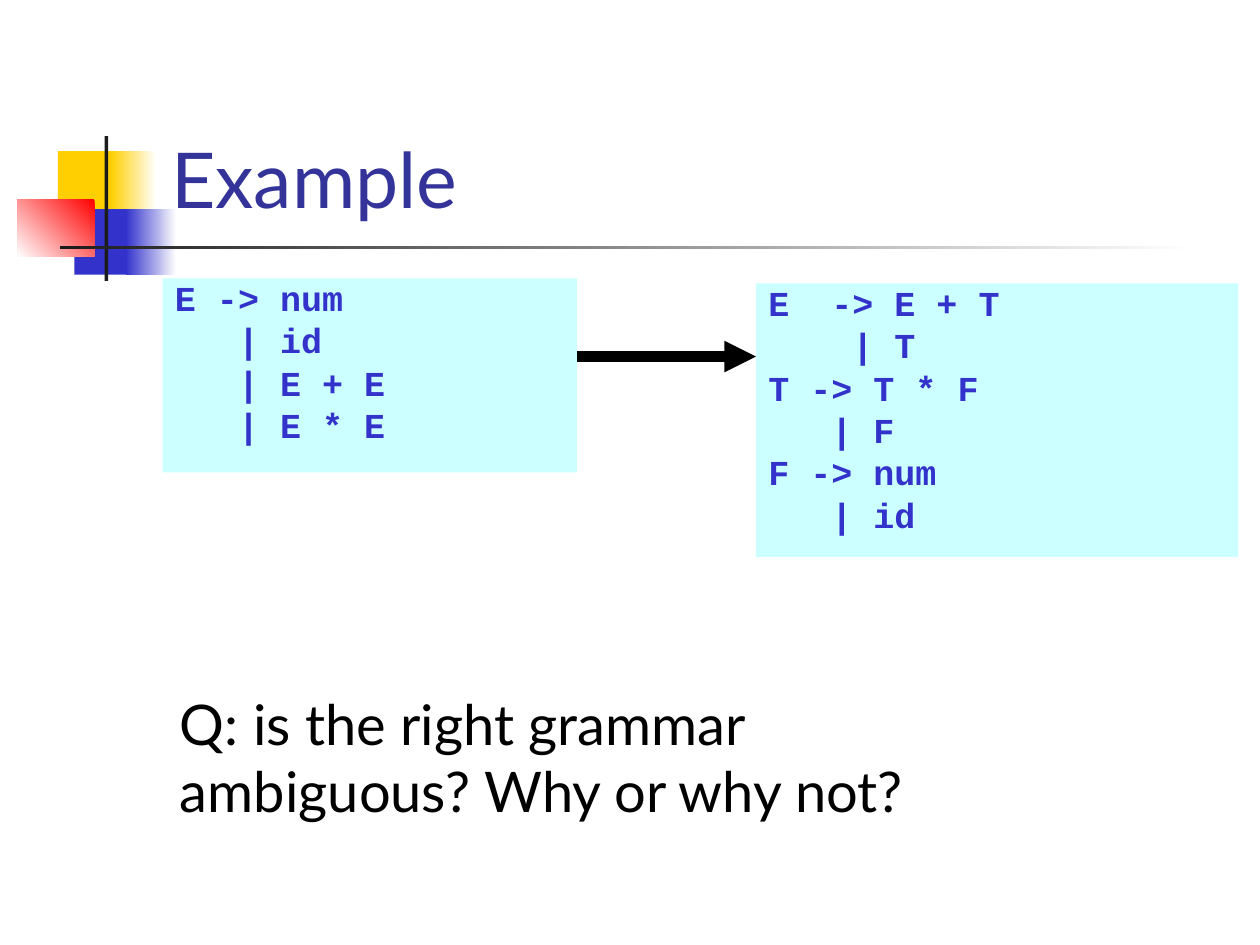
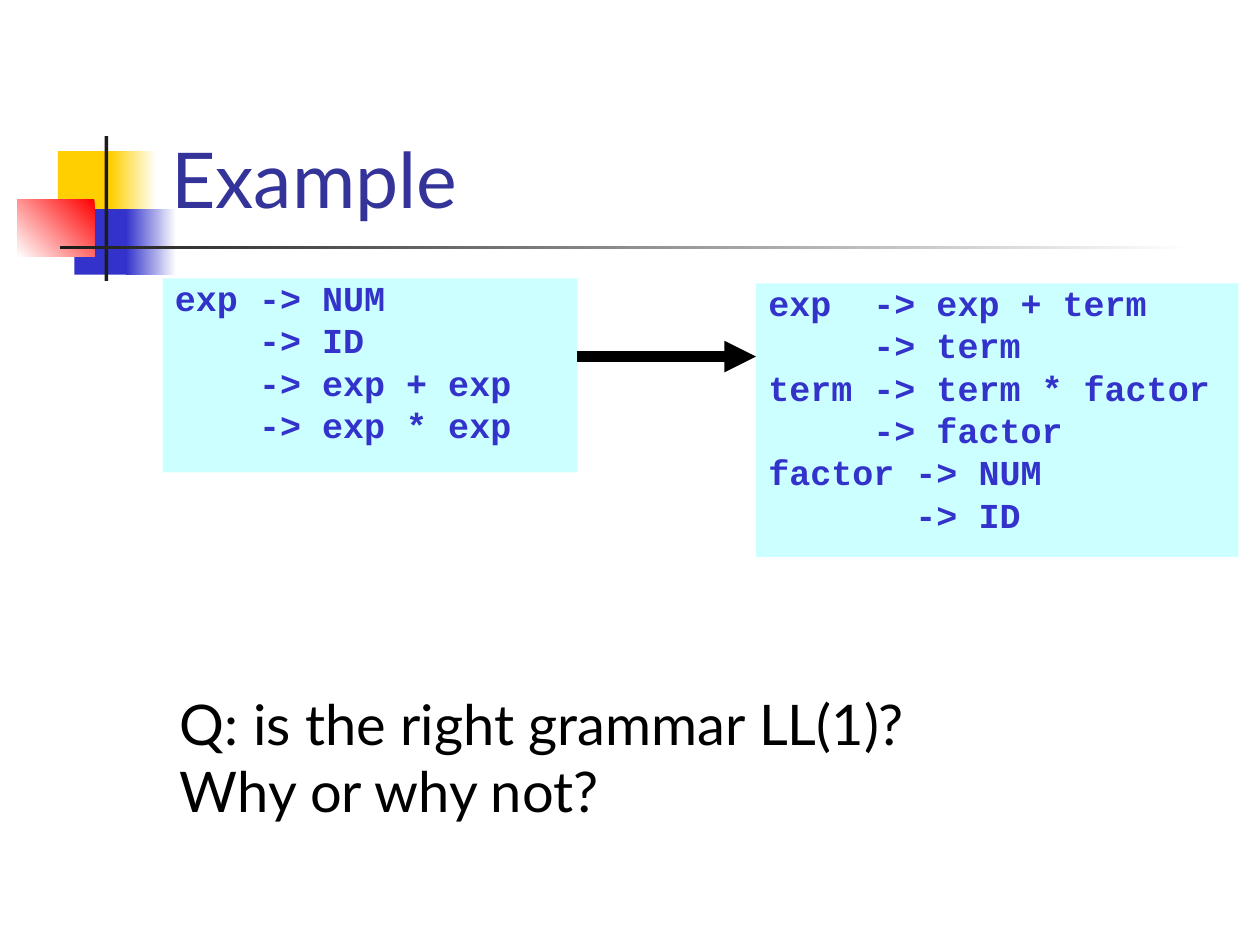
import pptx
import pptx.util
import pptx.dml.color
import pptx.enum.shapes
import pptx.enum.text
import pptx.oxml
import pptx.oxml.ns
import lxml.etree

Inches = pptx.util.Inches
Pt = pptx.util.Pt
RGBColor = pptx.dml.color.RGBColor

WHITE = RGBColor(0xFF, 0xFF, 0xFF)
BLACK = RGBColor(0x00, 0x00, 0x00)
YELLOW = RGBColor(0xFF, 0xCF, 0x01)
BLUE = RGBColor(0x33, 0x33, 0xCC)
RED = RGBColor(0xFF, 0x00, 0x00)
CHARCOAL = RGBColor(0x1C, 0x1C, 0x1C)
TITLE_BLUE = RGBColor(0x33, 0x33, 0x99)
PALE_CYAN = RGBColor(0xCC, 0xFF, 0xFF)

TEXT_FONT = "Lato"
CODE_FONT = "Courier New"

DECORATIONS = [
    ((0.46, 1.2, 0.48, 0.52), [YELLOW], 0),
    ((0.88, 1.2, 0.36, 0.52), [WHITE, YELLOW], 180),
    ((0.59, 1.66, 0.46, 0.52), [BLUE], 0),
    ((1, 1.66, 0.4, 0.52), [WHITE, BLUE], 180),
    ((0.14, 1.58, 0.61, 0.46), [RED, WHITE], 225),
    ((0.83, 1.08, 0.03, 1.15), [CHARCOAL], 0),
    ((0.48, 1.95, 9, 0.03), [WHITE, CHARCOAL], 180),
]
LEFT_PANEL = (1.29, 2.21, 3.29, 1.54)
RIGHT_PANEL = (6, 2.25, 3.83, 2.17)
ARROW_Y = 2.83

EXAMPLES = [
    (
        ["E -> num", "   | id", "   | E + E", "   | E * E"],
        ["E  -> E + T", "    | T", "T -> T * F", "   | F", "F -> num", "   | id"],
        "Q: is the right grammar ambiguous? Why or why not?",
    ),
    (
        ["exp -> NUM", "    -> ID", "    -> exp + exp", "    -> exp * exp"],
        [
            "exp  -> exp + term",
            "     -> term",
            "term -> term * factor",
            "     -> factor",
            "factor -> NUM",
            "       -> ID",
        ],
        "Q: is the right grammar LL(1)? Why or why not?",
    ),
]


def add_rectangle(page, bounds, colors, angle=0):
    box = page.shapes.add_shape(
        pptx.enum.shapes.MSO_SHAPE.RECTANGLE, *map(Inches, bounds)
    )
    box.shadow.inherit = False
    box.line.fill.background()
    if len(colors) == 1:
        box.fill.solid()
        box.fill.fore_color.rgb = colors[0]
    else:
        box.fill.gradient()
        box.fill.gradient_angle = angle
        for position, (stop, color) in enumerate(zip(box.fill.gradient_stops, colors)):
            stop.color.rgb = color
            stop.position = position
    return box


def write_lines(box, lines, font_name, size, color, bold=False):
    frame = box.text_frame
    frame.word_wrap = True
    frame.vertical_anchor = pptx.enum.text.MSO_ANCHOR.TOP
    for index, line in enumerate(lines):
        para = frame.paragraphs[0] if index == 0 else frame.add_paragraph()
        para.text = line
        para.alignment = pptx.enum.text.PP_ALIGN.LEFT
        para.font.name = font_name
        para.font.size = Pt(size)
        para.font.bold = bold
        para.font.color.rgb = color
    return frame


deck = pptx.Presentation()
deck.slide_width = Inches(10)
deck.slide_height = Inches(7.5)

for left_grammar, right_grammar, question in EXAMPLES:
    page = deck.slides.add_slide(deck.slide_layouts[6])
    for bounds, colors, angle in DECORATIONS:
        add_rectangle(page, bounds, colors, angle)

    title_box = page.shapes.add_textbox(*map(Inches, (1.26, 0.23, 8.52, 1.6)))
    title_frame = write_lines(title_box, ["Example"], TEXT_FONT, 44, TITLE_BLUE)
    title_frame.vertical_anchor = pptx.enum.text.MSO_ANCHOR.BOTTOM

    for bounds, grammar in ((LEFT_PANEL, left_grammar), (RIGHT_PANEL, right_grammar)):
        panel = add_rectangle(page, bounds, [PALE_CYAN])
        frame = write_lines(panel, grammar, CODE_FONT, 20, BLUE, bold=True)
        for index, para in enumerate(frame.paragraphs):
            para.line_spacing = 0.8
            if index:
                para.space_before = Pt(5)
            properties = para._p.get_or_add_pPr()
            properties.set("marL", str(Inches(0.38)))
            properties.set("indent", str(-Inches(0.38)))

    arrow = page.shapes.add_connector(
        pptx.enum.shapes.MSO_CONNECTOR.STRAIGHT,
        Inches(LEFT_PANEL[0] + LEFT_PANEL[2]),
        Inches(ARROW_Y),
        Inches(RIGHT_PANEL[0]),
        Inches(ARROW_Y),
    )
    arrow.line.color.rgb = BLACK
    arrow.line.width = Pt(6)
    line_xml = arrow.line._get_or_add_ln()
    lxml.etree.SubElement(line_xml, pptx.oxml.ns.qn("a:tailEnd"), type="triangle")
    lxml.etree.SubElement(arrow._element.spPr, pptx.oxml.ns.qn("a:effectLst"))

    question_box = page.shapes.add_textbox(*map(Inches, (1.33, 5.42, 6.75, 1.17)))
    write_lines(question_box, [question], TEXT_FONT, 32, BLACK)

deck.save("out.pptx")
